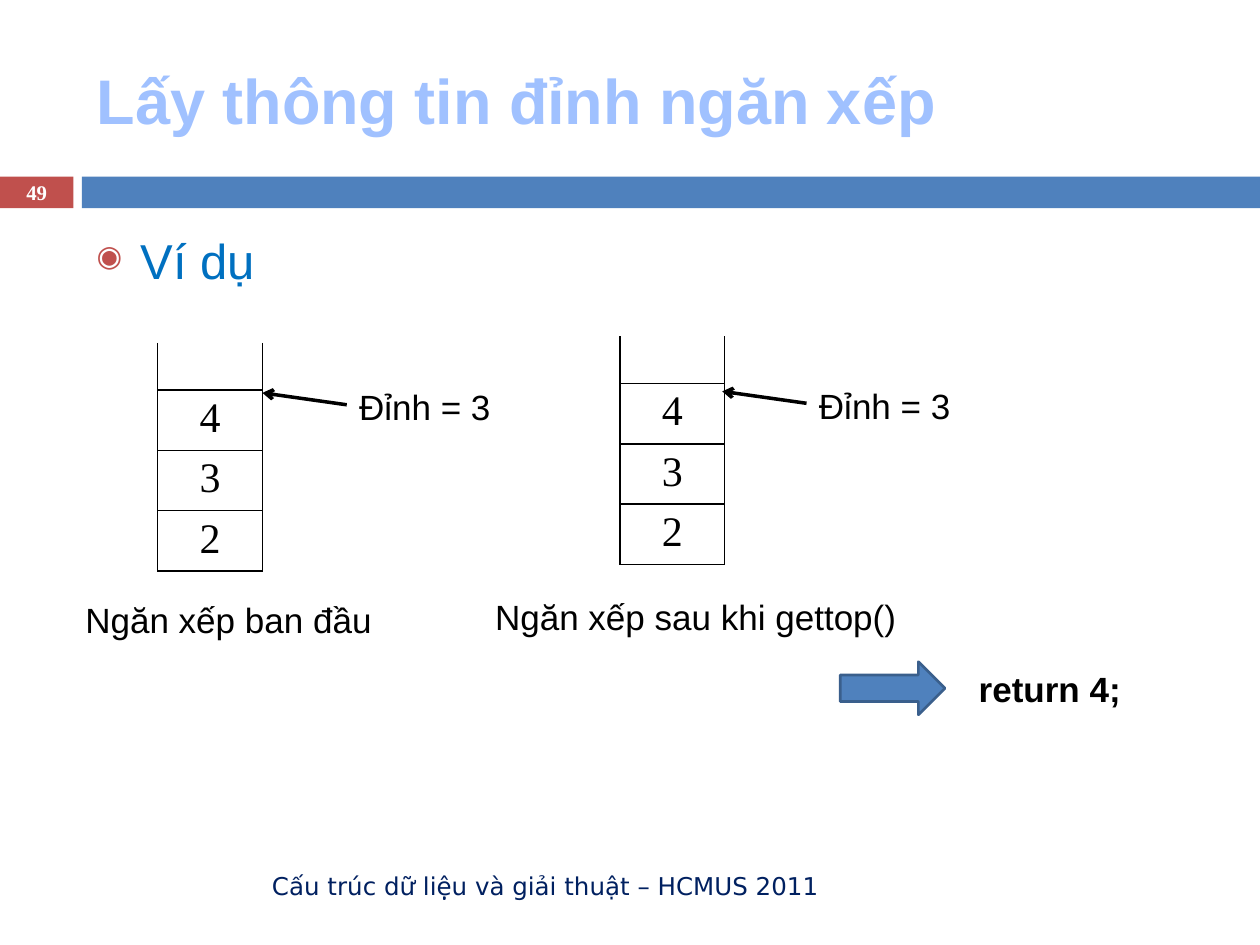
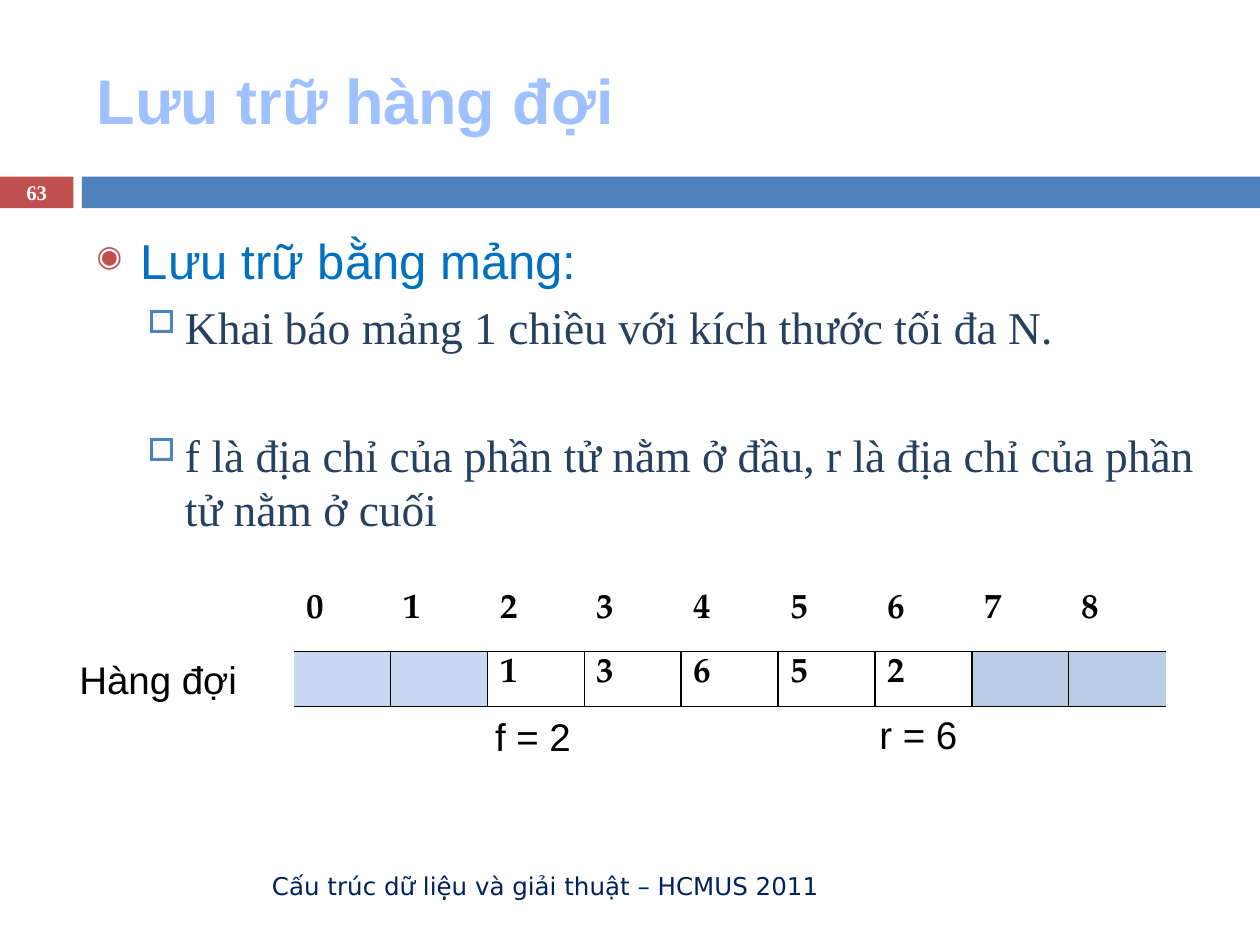
import pptx
import pptx.dml.color
import pptx.enum.shapes
import pptx.enum.text
import pptx.oxml
import pptx.oxml.ns
import pptx.util
from lxml import etree

Cm = pptx.util.Cm
Pt = pptx.util.Pt
ALIGN = pptx.enum.text.PP_ALIGN
ANCHOR = pptx.enum.text.MSO_ANCHOR
SHAPE = pptx.enum.shapes.MSO_SHAPE

COLORS = {
    "title": "A0C1FF",
    "accent": "C0504D",
    "band": "4F81BD",
    "band_line": "3A5F8C",
    "footer": "002060",
    "heading": "0070C0",
    "detail": "254061",
    "black": "000000",
    "white": "FFFFFF",
    "free_front": "C6D9F1",
    "free_back": "B9CDE5",
}
SERIF = "Times New Roman"
TABLE_FONT = "TeX Gyre Pagella"
FOOTER = "Cấu trúc dữ liệu và giải thuật – HCMUS 2011"
BULLETS = [
    {"char": "◉", "color": "accent", "percent": 60, "margin": 0.89, "hanging": 0.89},
    {"char": "□", "color": "band", "percent": 70, "margin": 1.78, "hanging": 0.76},
]


def rgb(name):
    """Return the named colour."""
    return pptx.dml.color.RGBColor.from_string(COLORS[name])


def write(paragraph, text, size=20, font="Arial", color="black", bold=False, align=ALIGN.LEFT):
    """Write one formatted run into a paragraph."""
    paragraph.alignment = align
    run = paragraph.add_run()
    run.text = text
    run.font.size = Pt(size)
    run.font.name = font
    run.font.bold = bold
    run.font.color.rgb = rgb(color)


def add_text(slide, box, text, anchor=ANCHOR.TOP, **style):
    """Add a wrapped text box, given as left, top, width, height in centimetres."""
    shape = slide.shapes.add_textbox(*map(Cm, box))
    shape.text_frame.word_wrap = True
    shape.text_frame.vertical_anchor = anchor
    write(shape.text_frame.paragraphs[0], text, **style)
    return shape


def add_block(slide, kind, box, color, line=None):
    """Add a flat filled shape with an optional outline."""
    shape = slide.shapes.add_shape(kind, *map(Cm, box))
    shape.shadow.inherit = False
    shape.fill.solid()
    shape.fill.fore_color.rgb = rgb(color)
    if line:
        shape.line.color.rgb = rgb(line)
        shape.line.width = Pt(1.5)
    else:
        shape.line.fill.background()


def add_frame(presentation, title, number):
    """Add a slide with the shared title, bands, number and footer."""
    slide = presentation.slides.add_slide(presentation.slide_layouts[6])
    add_block(slide, SHAPE.RECTANGLE, (0, 3.56, 1.48, 0.64), "accent")
    add_block(slide, SHAPE.RECTANGLE, (1.65, 3.56, 23.75, 0.64), "band")
    add_text(slide, (1.7, 0.64, 22.66, 2.74), title, ANCHOR.MIDDLE,
             size=36, color="title", bold=True)
    add_text(slide, (1.7, 17.35, 15.06, 1.02), FOOTER, ANCHOR.MIDDLE,
             size=14, font="DejaVu Sans", color="footer", align=ALIGN.RIGHT)
    add_text(slide, (0, 3.53, 1.48, 0.69), str(number), ANCHOR.MIDDLE,
             size=11.9, font=SERIF, color="white", bold=True, align=ALIGN.CENTER)
    return slide


def add_bullet(paragraph, char, color, percent, margin, hanging):
    """Give a paragraph a coloured bullet and a hanging indent."""
    properties = paragraph._p.get_or_add_pPr()
    properties.set("marL", str(Cm(margin)))
    properties.set("indent", str(-Cm(hanging)))
    qn = pptx.oxml.ns.qn
    bullet_color = etree.SubElement(properties, qn("a:buClr"))
    etree.SubElement(bullet_color, qn("a:srgbClr"), val=COLORS[color])
    etree.SubElement(properties, qn("a:buSzPct"), val=str(percent * 1000))
    etree.SubElement(properties, qn("a:buChar"), char=char)


def add_body(slide, heading, details=()):
    """Add the bulleted heading and its details, each with its space before."""
    shape = add_text(slide, (1.7, 4.52, 22.66, 12.4), heading, size=28, color="heading")
    frame = shape.text_frame
    add_bullet(frame.paragraphs[0], **BULLETS[0])
    for text, space in details:
        paragraph = frame.add_paragraph()
        add_bullet(paragraph, **BULLETS[1])
        paragraph.space_before = Pt(space)
        write(paragraph, text, size=26, font=SERIF, color="detail")


def set_borders(cell, sides):
    """Draw 1 pt black lines on the named sides and none on the others."""
    properties = cell._tc.get_or_add_tcPr()
    qn = pptx.oxml.ns.qn
    for position, side in enumerate("LRTB"):
        line = etree.Element(qn(f"a:ln{side}"), w=str(Pt(1)))
        if side in sides:
            fill = etree.SubElement(line, qn("a:solidFill"))
            etree.SubElement(fill, qn("a:srgbClr"), val=COLORS["black"])
        else:
            etree.SubElement(line, qn("a:noFill"))
        properties.insert(position, line)


def add_plain_table(slide, left, top, widths, heights):
    """Add a table without banding, sized by its columns and rows."""
    frame = slide.shapes.add_table(len(heights), len(widths), Cm(left), Cm(top),
                                   Cm(sum(widths)), Cm(sum(heights)))
    table = frame.table
    table.first_row = table.horz_banding = False
    for column, width in zip(table.columns, widths):
        column.width = Cm(width)
    for row, height in zip(table.rows, heights):
        row.height = Cm(height)
    return table


def fill_cell(cell, text, sides="", color=None, margin=0.13, **style):
    """Set the text, borders, fill and margins of a cell."""
    cell.margin_top = cell.margin_bottom = Cm(margin if text else 0)
    if color:
        cell.fill.solid()
        cell.fill.fore_color.rgb = rgb(color)
    else:
        cell.fill.background()
    set_borders(cell, sides)
    if text:
        write(cell.text_frame.paragraphs[0], text, **style)


def add_pointer(slide, label, drop):
    """Draw an arrow from the left side of a label up to the stack top."""
    end_x, end_y = label.left - Cm(1.7), label.top + Cm(drop)
    connector = slide.shapes.add_connector(
        pptx.enum.shapes.MSO_CONNECTOR.STRAIGHT,
        label.left, label.top + label.height // 2, end_x, end_y)
    connector.begin_connect(label, 1)
    connector.line.color.rgb = rgb("black")
    connector.line.width = Pt(2)
    qn = pptx.oxml.ns.qn
    etree.SubElement(connector.line._get_or_add_ln(), qn("a:tailEnd"), type="arrow")
    etree.SubElement(connector._element.spPr, qn("a:effectLst"))


def add_stack(slide, left, top, values, label_at, caption_box, caption):
    """Draw a stack open at the top; label and caption are relative to its corner."""
    table = add_plain_table(slide, left, top, [2.11], [0.95] + [1.19] * len(values))
    for row, value in enumerate([""] + values):
        fill_cell(table.cell(row, 0), value, "LRTB" if value else "LRB", margin=0.1,
                  size=24, font=SERIF, align=ALIGN.CENTER)
    label_x, label_y = label_at
    label = add_text(slide, (left + label_x, top + label_y, 3.5, 1.02), "Đỉnh = 3")
    add_pointer(slide, label, 0.27)
    shift_x, shift_y, width = caption_box
    add_text(slide, (left + shift_x, top + shift_y, width, 1.12), caption)


def add_queue(slide, left, top, width, values, front, rear):
    """Draw an array with its indexes above and the front and rear marks below."""
    count = len(values)
    widths = [width / count] * count
    array = add_plain_table(slide, left, top, widths, [1.04])
    indexes = add_plain_table(slide, left, top - 1.29, widths, [1.04])
    style = {"size": 20, "font": TABLE_FONT, "bold": True}
    for index, value in enumerate(values):
        color = "free_front" if index < front else "free_back" if index > rear else "white"
        sides = "TB" + "L" * (index > 0) + "R" * (index < count - 1)
        fill_cell(array.cell(0, index), value, sides, color, **style)
        fill_cell(indexes.cell(0, index), str(index), color="white", **style)
    add_text(slide, (left + 3.81, top + 1.12, 2.5, 1.19), f"f = {front}", size=22)
    add_text(slide, (left + 11.56, top + 1.07, 2.5, 1.19), f"r = {rear}", size=22)
    add_text(slide, (left - 4.57, top - 0.02, 5, 1.19), "Hàng đợi", size=22)


def build_stack_slide(presentation):
    """Build the slide about reading the top of a stack."""
    slide = add_frame(presentation, "Lấy thông tin đỉnh ngăn xếp", 49)
    add_body(slide, "Ví dụ")
    values = ["4", "3", "2"]
    add_stack(slide, 3.18, 6.91, values, (3.81, 0.74), (-1.71, 5.03, 6.55),
              "Ngăn xếp ban đầu")
    add_stack(slide, 12.5, 6.78, values, (3.76, 0.84), (-2.77, 5.11, 9.53),
              "Ngăn xếp sau khi gettop()")
    add_block(slide, SHAPE.RIGHT_ARROW, (16.94, 13.34, 2.11, 1.07), "band", "band_line")
    add_text(slide, (19.48, 13.34, 4.65, 1.12), "return 4;", bold=True)


def build_queue_slide(presentation):
    """Build the slide about storing a queue in an array."""
    slide = add_frame(presentation, "Lưu trữ hàng đợi", 63)
    add_body(slide, "Lưu trữ bằng mảng:", [
        ("Khai báo mảng 1 chiều với kích thước tối đa N.", 5.5),
        ("f là địa chỉ của phần tử nằm ở đầu, r là địa chỉ của phần tử nằm ở cuối", 42),
    ])
    add_queue(slide, 5.92, 13.13, 17.58, ["", "", "1", "3", "6", "5", "2", "", ""], 2, 6)


def main():
    """Build and save the presentation."""
    presentation = pptx.Presentation()
    presentation.slide_width = Cm(25.4)
    presentation.slide_height = Cm(19.05)
    build_stack_slide(presentation)
    build_queue_slide(presentation)
    presentation.save("out.pptx")


if __name__ == "__main__":
    main()
